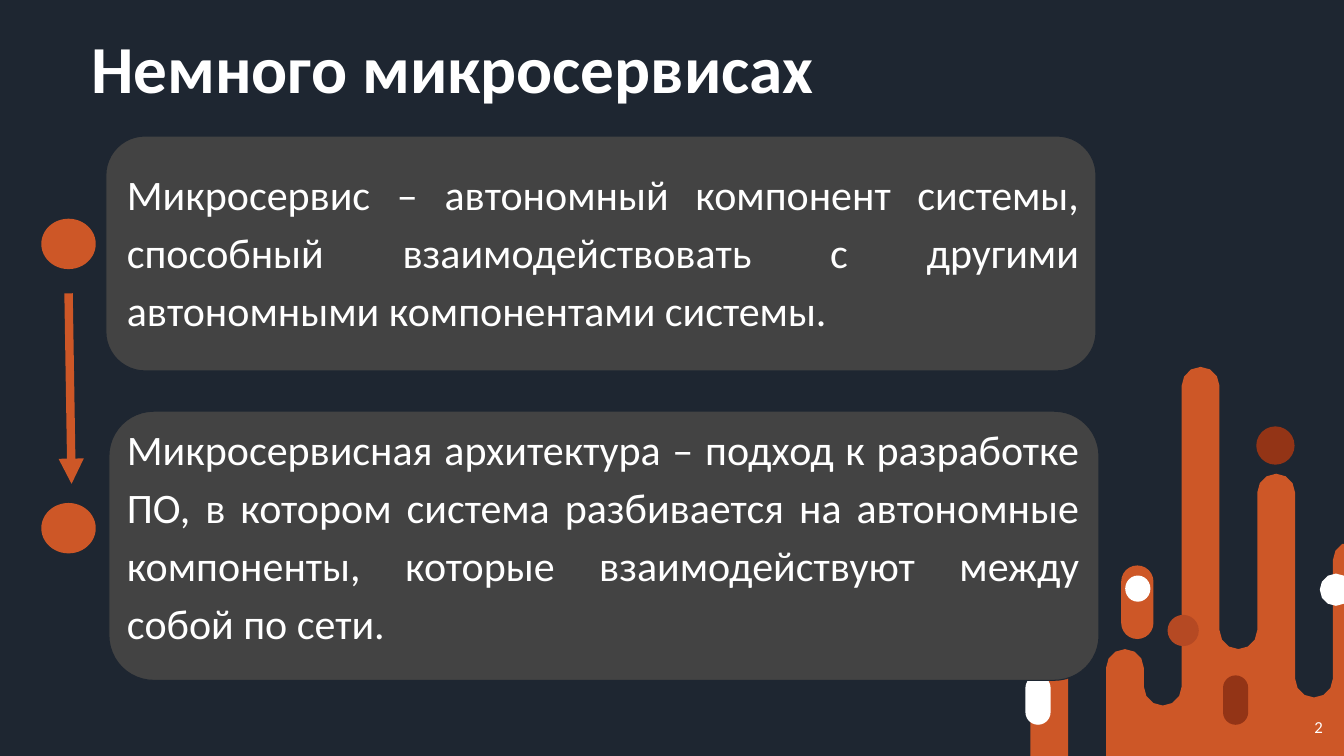
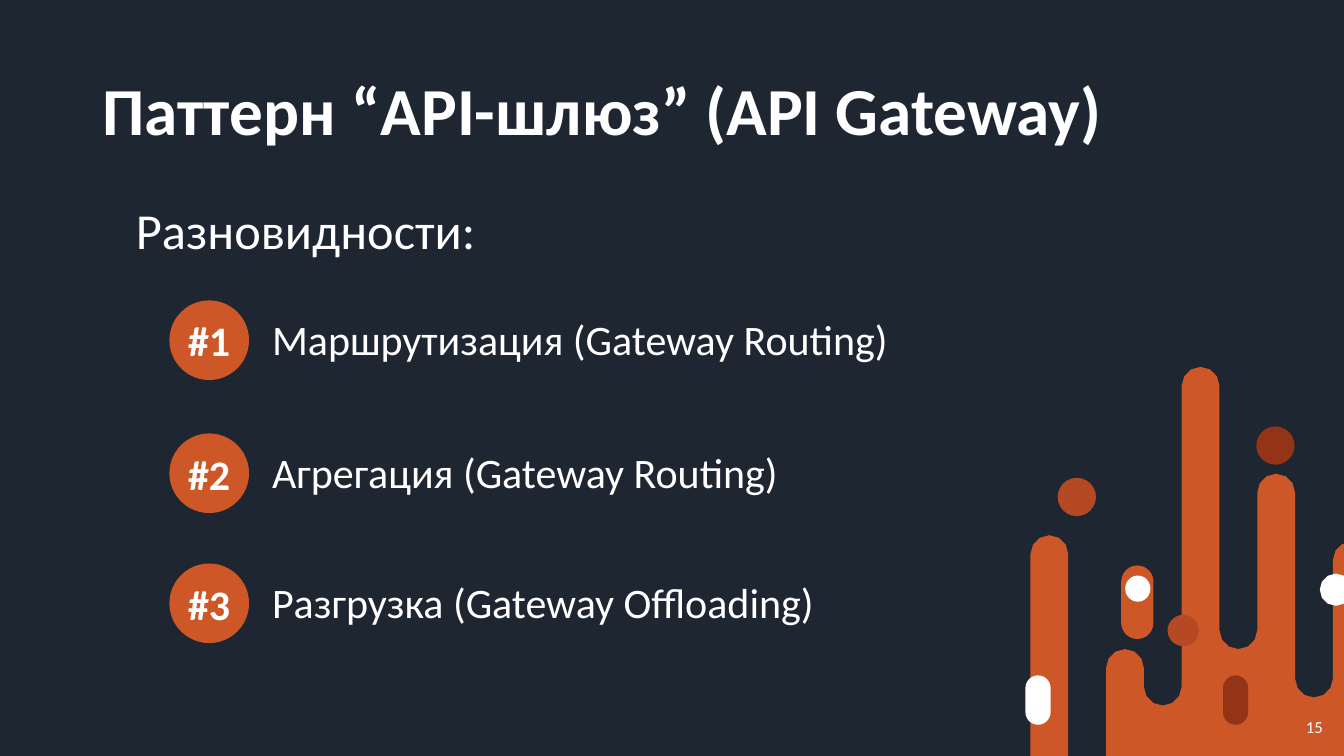
"""Two dark slides about microservices with a shared orange skyline."""
from math import cos, pi, sin

from lxml import etree
from pptx import Presentation
from pptx.dml.color import RGBColor
from pptx.enum.shapes import MSO_CONNECTOR, MSO_SHAPE
from pptx.enum.text import MSO_ANCHOR, PP_ALIGN
from pptx.oxml.ns import qn
from pptx.util import Inches, Pt

W, H = 13.33, 7.5
FONT = "Calibri"
COLORS = {
    "back": "1E2631", "orange": "CD5727", "rust": "B54923",
    "brown": "933416", "card": "434343", "white": "FFFFFF",
}

DEFINITIONS = {
    "title": "Немного микросервисах",
    "title_at": (0.81, -0.01),
    "number": "2",
    "cards": [
        {"at": (1.05, 1.35), "height": 2.33, "text_top": 1.55, "dot_top": 2.17,
         "text": "Микросервис – автономный компонент системы, способный "
                 "взаимодействовать с другими автономными компонентами системы."},
        {"at": (1.08, 4.08), "height": 2.67, "text_top": 4.08, "dot_top": 4.99,
         "text": "Микросервисная архитектура – подход к разработке ПО, в котором "
                 "система разбивается на автономные компоненты, которые "
                 "взаимодействуют между собой по сети."},
    ],
}
GATEWAY = {
    "title": "Паттерн “API-шлюз” (API Gateway)",
    "title_at": (0.92, 0.4),
    "number": "15",
    "lead": "Разновидности:",
    "kinds": [
        (2.98, "#1", "Маршрутизация (Gateway Routing)"),
        (4.3, "#2", "Агрегация (Gateway Routing)"),
        (5.59, "#3", "Разгрузка (Gateway Offloading)"),
    ],
}

PILLAR = 0.375
SKYLINE_LEFT = 10.97
TURNS = [6.44, 7.0, 3.64, 6.44, 4.7, 6.92, 5.37]
LONE_LEFT, LONE_TOP = 10.22, 5.31
OVAL, PILL = MSO_SHAPE.OVAL, MSO_SHAPE.ROUNDED_RECTANGLE
DROPS = [
    (PILL, 12.46, 4.23, 0.38, 0.38, "brown"),
    (PILL, 11.12, 5.61, 0.32, 0.73, "orange"),
    (OVAL, 11.58, 6.1, 0.31, 0.31, "rust"),
    (PILL, 12.13, 6.7, 0.25, 0.49, "brown"),
    (PILL, 10.17, 6.7, 0.25, 0.49, "white"),
    (OVAL, 11.16, 5.71, 0.25, 0.26, "white"),
]


def rgb(name):
    """Return a named palette colour."""
    return RGBColor.from_string(COLORS[name])


def paint(sp, color):
    """Give a shape a flat fill without outline or shadow."""
    sp.shadow.inherit = False
    sp.fill.solid()
    sp.fill.fore_color.rgb = rgb(color)
    sp.line.fill.background()
    return sp


def add_shape(s, kind, x, y, w, h, color, adj=None):
    """Add a flat preset shape."""
    sp = s.shapes.add_shape(kind, Inches(x), Inches(y), Inches(w), Inches(h))
    if adj is not None:
        sp.adjustments[0] = adj
    return paint(sp, color)


def write(sp, text, size, bold=False, align=PP_ALIGN.LEFT, spacing=1.0,
          anchor=MSO_ANCHOR.TOP):
    """Set and format the text of a shape."""
    tf = sp.text_frame
    tf.word_wrap = True
    tf.vertical_anchor = anchor
    tf.text = text
    p = tf.paragraphs[0]
    p.alignment = align
    p.line_spacing = spacing
    font = p.runs[0].font
    font.name, font.size, font.bold = FONT, Pt(size), bold
    font.color.rgb = rgb("white")


def add_text(s, x, y, w, h, text, size, **style):
    """Add a formatted text box."""
    sp = s.shapes.add_textbox(Inches(x), Inches(y), Inches(w), Inches(h))
    write(sp, text, size, **style)


def arc(cx, cy, r, start, end, steps=6):
    """Return arc points, clockwise from the left, inside the slide."""
    angles = [start + (end - start) * i / steps for i in range(steps + 1)]
    points = [(cx - r * cos(a), cy - r * sin(a)) for a in angles]
    return [(x, y) for x, y in points if x <= W + 0.01]


def add_outline(s, contours, color):
    """Add one freeform made of closed contours."""
    contours = [[(Inches(x), Inches(y)) for x, y in c] for c in contours]
    builder = s.shapes.build_freeform(*contours[0][0], scale=1.0)
    for i, contour in enumerate(contours):
        if i:
            builder.move_to(*contour[0])
        builder.add_line_segments(contour[1:], close=True)
    paint(builder.convert_to_shape(), color)


def add_skyline(s):
    """Draw the decoration in the lower right corner."""
    r = PILLAR / 2
    skyline = [(SKYLINE_LEFT, H)]
    for i, tip in enumerate(TURNS):
        side = -1 if i % 2 else 1
        skyline += arc(SKYLINE_LEFT + r + i * PILLAR, tip + side * r, r, 0, side * pi)
    skyline += [(W, skyline[-1][1]), (W, H)]
    lone = [(LONE_LEFT, H), *arc(LONE_LEFT + r, LONE_TOP + r, r, 0, pi),
            (LONE_LEFT + PILLAR, H)]
    add_outline(s, [skyline, lone], "orange")
    for kind, x, y, w, h, color in DROPS:
        add_shape(s, kind, x, y, w, h, color, 0.5 if kind == PILL else None)
    add_outline(s, [arc(13.25, 5.85, 0.16, -pi, pi, 12)], "white")


def add_slide(prs, content):
    """Add a slide with skyline, title and page number."""
    s = prs.slides.add_slide(prs.slide_layouts[6])
    add_skyline(s)
    add_text(s, *content["title_at"], 11.5, 1.45, content["title"], 48, bold=True,
             spacing=0.9, anchor=MSO_ANCHOR.MIDDLE)
    add_text(s, 10.22, 7.01, 3, 0.4, content["number"], 12, align=PP_ALIGN.RIGHT,
             anchor=MSO_ANCHOR.MIDDLE)
    return s


def add_arrow(s, x1, y1, x2, y2):
    """Add a thick orange arrow."""
    line = s.shapes.add_connector(MSO_CONNECTOR.STRAIGHT, Inches(x1), Inches(y1),
                                  Inches(x2), Inches(y2))
    line.line.color.rgb = rgb("orange")
    line.line.width = Pt(6)
    ln = line._element.spPr.find(qn("a:ln"))
    etree.SubElement(ln, qn("a:tailEnd"), type="triangle")
    etree.SubElement(line._element.spPr, qn("a:effectLst"))


def build_definitions(prs):
    """Build the slide with two definition cards."""
    s = add_slide(prs, DEFINITIONS)
    for card in DEFINITIONS["cards"]:
        add_shape(s, OVAL, 0.41, card["dot_top"], 0.54, 0.5, "orange")
        sp = add_shape(s, PILL, *card["at"], 9.82, card["height"], "card")
        sp.line.color.rgb = rgb("back")
        sp.line.width = Pt(0.75)
        add_text(s, 1.16, card["text_top"], 9.65, 0.5, card["text"], 30,
                 align=PP_ALIGN.JUSTIFY, spacing=1.15)
    add_arrow(s, 0.68, 2.91, 0.71, 4.8)


def build_gateway(prs):
    """Build the slide with the numbered list."""
    s = add_slide(prs, GATEWAY)
    add_shape(s, OVAL, 10.49, 4.74, 0.38, 0.38, "rust")
    add_text(s, 1.25, 1.99, 3.77, 0.79, GATEWAY["lead"], 36, spacing=0.9)
    for y, label, kind in GATEWAY["kinds"]:
        badge = add_shape(s, OVAL, 1.68, y, 0.79, 0.79, "orange")
        tf = badge.text_frame
        tf.margin_left = tf.margin_right = tf.margin_top = tf.margin_bottom = 0
        write(badge, label, 30, bold=True, align=PP_ALIGN.CENTER,
              anchor=MSO_ANCHOR.MIDDLE)
        add_text(s, 2.6, y + 0.14, 6.68, 0.5, kind, 30, spacing=0.9)


def main():
    """Build and save the presentation."""
    prs = Presentation()
    prs.slide_width, prs.slide_height = Inches(W), Inches(H)
    fill = prs.slide_master.background.fill
    fill.solid()
    fill.fore_color.rgb = rgb("back")
    build_definitions(prs)
    build_gateway(prs)
    prs.save("out.pptx")


if __name__ == "__main__":
    main()
